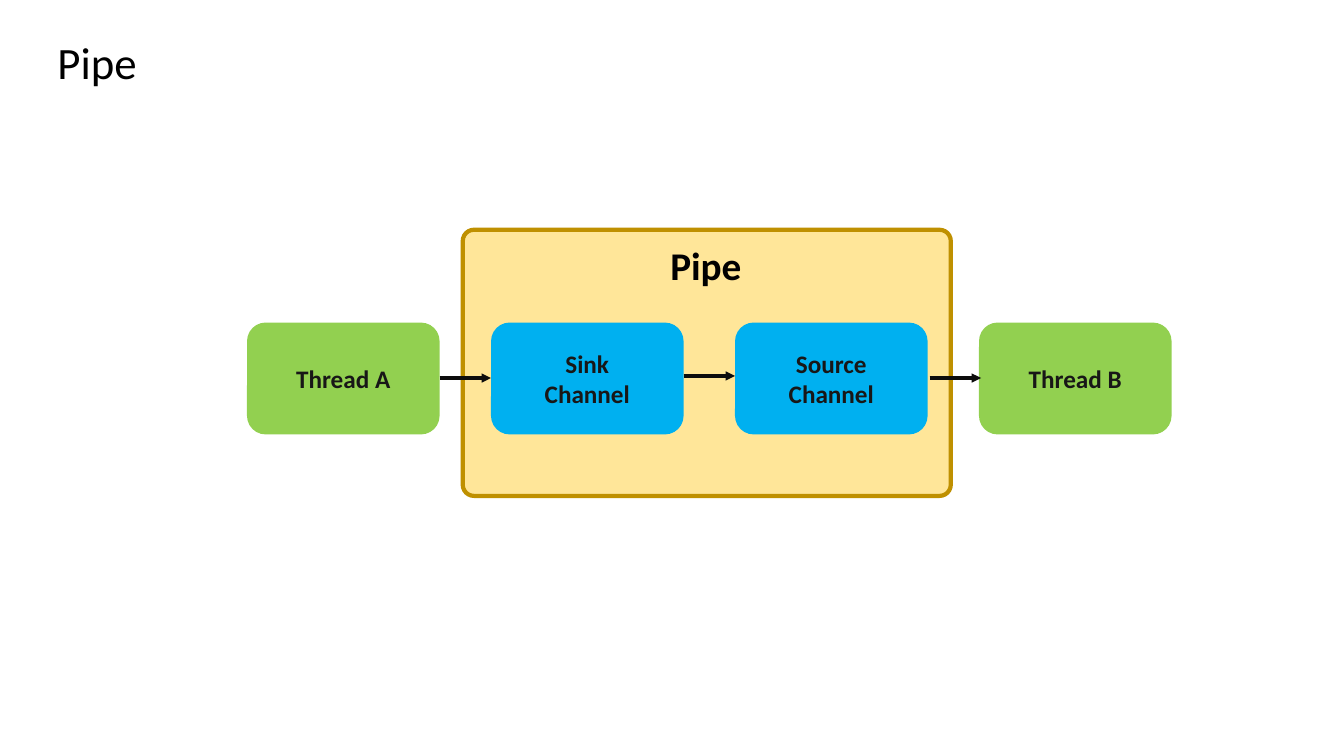
import pptx
import pptx.util
import pptx.dml.color
import pptx.enum.shapes
import pptx.enum.text
import pptx.oxml
import pptx.oxml.ns
from pptx.util import Inches, Pt

# Content
TITLE = "Pipe"
PANEL_LABEL = "Pipe"
THREAD, CHANNEL = "92D050", "00B0F0"
STAGES = [
    ("Thread A", THREAD),
    ("Sink\nChannel", CHANNEL),
    ("Source\nChannel", CHANNEL),
    ("Thread B", THREAD),
]
ARROW_HEIGHTS = [3.75, 3.73, 3.75]
ARROW_SHIFTS = [0, 0, 0.02]

# Layout in inches
STAGE_LEFT, STAGE_TOP = 2.45, 3.2
STAGE_WIDTH, STAGE_HEIGHT = 1.91, 1.11
STAGE_STEP = 2.42
FONT = "Calibri"
ALIGN = pptx.enum.text.PP_ALIGN
ANCHOR = pptx.enum.text.MSO_ANCHOR


def color(value):
    return pptx.dml.color.RGBColor.from_string(value)


def write(shape, text, size, text_color, bold, align, anchor):
    frame = shape.text_frame
    frame.text = text
    frame.word_wrap = True
    frame.auto_size = pptx.enum.text.MSO_AUTO_SIZE.NONE
    frame.vertical_anchor = anchor
    for paragraph in frame.paragraphs:
        paragraph.alignment = align
        for run in paragraph.runs:
            run.font.name = FONT
            run.font.size = Pt(size)
            run.font.bold = bold
            run.font.color.rgb = color(text_color)


def add_box(slide, left, top, width, height, fill):
    shape = slide.shapes.add_shape(
        pptx.enum.shapes.MSO_SHAPE.ROUNDED_RECTANGLE,
        Inches(left), Inches(top), Inches(width), Inches(height))
    shape.shadow.inherit = False
    shape.fill.solid()
    shape.fill.fore_color.rgb = color(fill)
    shape.line.fill.background()
    return shape


def add_arrow(slide, start, end, height):
    arrow = slide.shapes.add_connector(
        pptx.enum.shapes.MSO_CONNECTOR.STRAIGHT,
        Inches(start), Inches(height), Inches(end), Inches(height))
    arrow.line.color.rgb = color("0D0D0D")
    arrow.line.width = Pt(2.25)
    head = pptx.oxml.parse_xml(
        f'<a:tailEnd {pptx.oxml.ns.nsdecls("a")} type="triangle"/>')
    arrow.line._get_or_add_ln().append(head)
    arrow._element.spPr.append(pptx.oxml.parse_xml(
        f'<a:effectLst {pptx.oxml.ns.nsdecls("a")}/>'))


def main():
    presentation = pptx.Presentation()
    presentation.slide_width = Inches(13.33)
    presentation.slide_height = Inches(7.5)
    slide = presentation.slides.add_slide(presentation.slide_layouts[5])

    # Slide title
    title = slide.shapes.title
    title.left, title.top = Inches(0.47), Inches(0.29)
    title.width, title.height = Inches(2.09), Inches(0.64)
    write(title, TITLE, 32, "000000", False, ALIGN.LEFT, ANCHOR.TOP)

    # Pipe panel and its label
    panel = add_box(slide, 4.59, 2.28, 4.84, 2.64, "FFE699")
    panel.adjustments[0] = 0.042
    panel.line.color.rgb = color("BF9000")
    panel.line.width = Pt(3)
    label = slide.shapes.add_textbox(
        Inches(6.55), Inches(2.34), Inches(1.98), Inches(0.57))
    write(label, PANEL_LABEL, 28, "000000", True, ALIGN.LEFT, ANCHOR.TOP)

    # Threads and channels
    for index, (text, fill) in enumerate(STAGES):
        stage = add_box(slide, STAGE_LEFT + index * STAGE_STEP, STAGE_TOP,
                        STAGE_WIDTH, STAGE_HEIGHT, fill)
        write(stage, text, 18, "181717", True, ALIGN.CENTER, ANCHOR.MIDDLE)

    # Arrows across the gaps between stages
    for index, (height, shift) in enumerate(zip(ARROW_HEIGHTS, ARROW_SHIFTS)):
        left = STAGE_LEFT + index * STAGE_STEP + shift
        add_arrow(slide, left + STAGE_WIDTH, left + STAGE_STEP, height)

    presentation.save("out.pptx")


if __name__ == "__main__":
    main()
